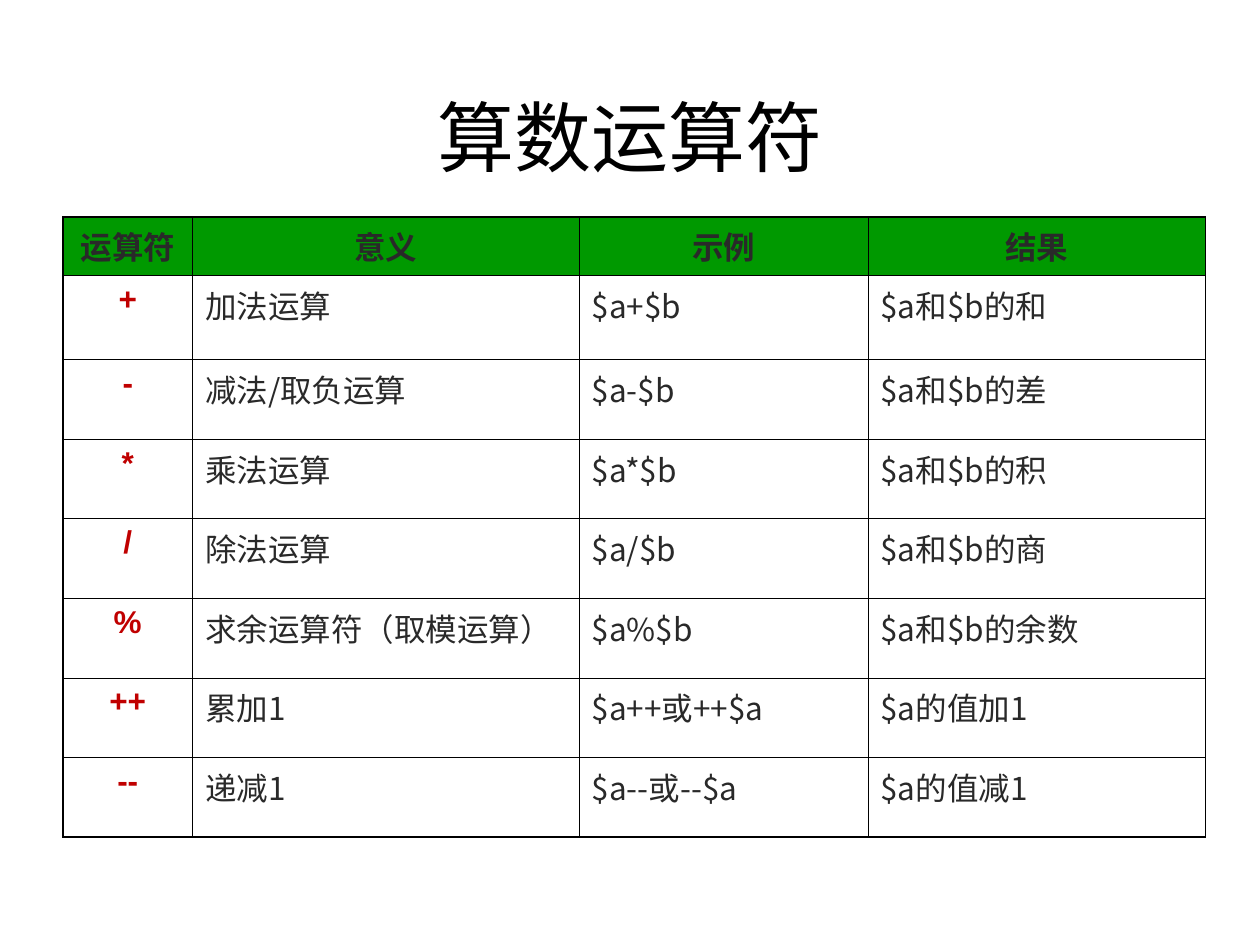
from pptx import Presentation
from pptx import util as u
from pptx.dml.color import RGBColor
from pptx.enum import text
from pptx.oxml.ns import qn
from lxml import etree

# Content
TITLE = "算数运算符"
HEADER = ("运算符", "意义", "示例", "结果")
OPERATORS = [
    ("+", "加法运算", "$a+$b", "$a和$b的和"),
    ("-", "减法/取负运算", "$a-$b", "$a和$b的差"),
    ("*", "乘法运算", "$a*$b", "$a和$b的积"),
    ("/", "除法运算", "$a/$b", "$a和$b的商"),
    ("%", "求余运算符（取模运算）", "$a%$b", "$a和$b的余数"),
    ("++", "累加1", "$a++或++$a", "$a的值加1"),
    ("--", "递减1", "$a--或--$a", "$a的值减1"),
]

# Theme and layout, in points
CJK = "Noto Sans CJK SC"
THEME = {
    "title": {"name": "Arial", "size": u.Pt(44), "bold": False, "color": "000000"},
    "header": {"name": CJK, "size": u.Pt(18), "bold": True, "color": "292929"},
    "symbol": {"name": "Arial", "size": u.Pt(18), "bold": True, "color": "C00000"},
    "body": {"name": CJK, "size": u.Pt(18), "bold": False, "color": "292929"},
    "header_fill": "009900",
    "border": "000000",
    "inner": 0.45,
    "outer": 1.08,
}
COLS = [74, 221, 165, 193]
ROWS = [33.5, 48] + [45.5] * 6
LEFT, TOP = 36, 124


def write(tf, content, style, align):
    p = tf.paragraphs[0]
    p.alignment = align
    r = p.add_run()
    r.text = content
    for key, value in THEME[style].items():
        if key == "color":
            r.font.color.rgb = RGBColor.from_string(value)
        else:
            setattr(r.font, key, value)
    ea = etree.Element(qn("a:ea"), typeface=CJK)
    r.font._element.find(qn("a:latin")).addnext(ea)


def set_borders(cell, widths):
    tcPr = cell._tc.get_or_add_tcPr()
    for i, (side, width) in enumerate(widths.items()):
        ln = etree.Element(qn(f"a:ln{side}"), w=str(int(u.Pt(width))))
        fill = etree.SubElement(ln, qn("a:solidFill"))
        etree.SubElement(fill, qn("a:srgbClr"), val=THEME["border"])
        tcPr.insert(i, ln)


def main():
    prs = Presentation()
    prs.slide_width, prs.slide_height = u.Pt(720), u.Pt(540)
    s = prs.slides.add_slide(prs.slide_layouts[6])
    center, left = text.PP_ALIGN.CENTER, text.PP_ALIGN.LEFT

    # Title
    tf = s.shapes.add_textbox(u.Pt(36), u.Pt(32.4), u.Pt(648), u.Pt(90)).text_frame
    tf.word_wrap = True
    tf.vertical_anchor = text.MSO_ANCHOR.MIDDLE
    write(tf, TITLE, "title", center)

    # Operator table
    table = s.shapes.add_table(len(ROWS), len(COLS), u.Pt(LEFT), u.Pt(TOP),
                               u.Pt(sum(COLS)), u.Pt(sum(ROWS))).table
    table.first_row = table.horz_banding = False
    for column, width in zip(table.columns, COLS):
        column.width = u.Pt(width)
    for row, height in zip(table.rows, ROWS):
        row.height = u.Pt(height)

    last_row, last_col = len(ROWS) - 1, len(COLS) - 1
    for i, values in enumerate([HEADER] + OPERATORS):
        for j, value in enumerate(values):
            cell = table.cell(i, j)
            style = "header" if i == 0 else "symbol" if j == 0 else "body"
            write(cell.text_frame, value, style, left if style == "body" else center)
            if i == 0:
                cell.fill.solid()
                cell.fill.fore_color.rgb = RGBColor.from_string(THEME["header_fill"])
            else:
                cell.fill.background()
            edges = {"L": j == 0, "R": j == last_col, "T": i == 0, "B": i == last_row}
            set_borders(cell, {side: THEME["outer" if edge else "inner"]
                               for side, edge in edges.items()})

    prs.save("out.pptx")


if __name__ == "__main__":
    main()
